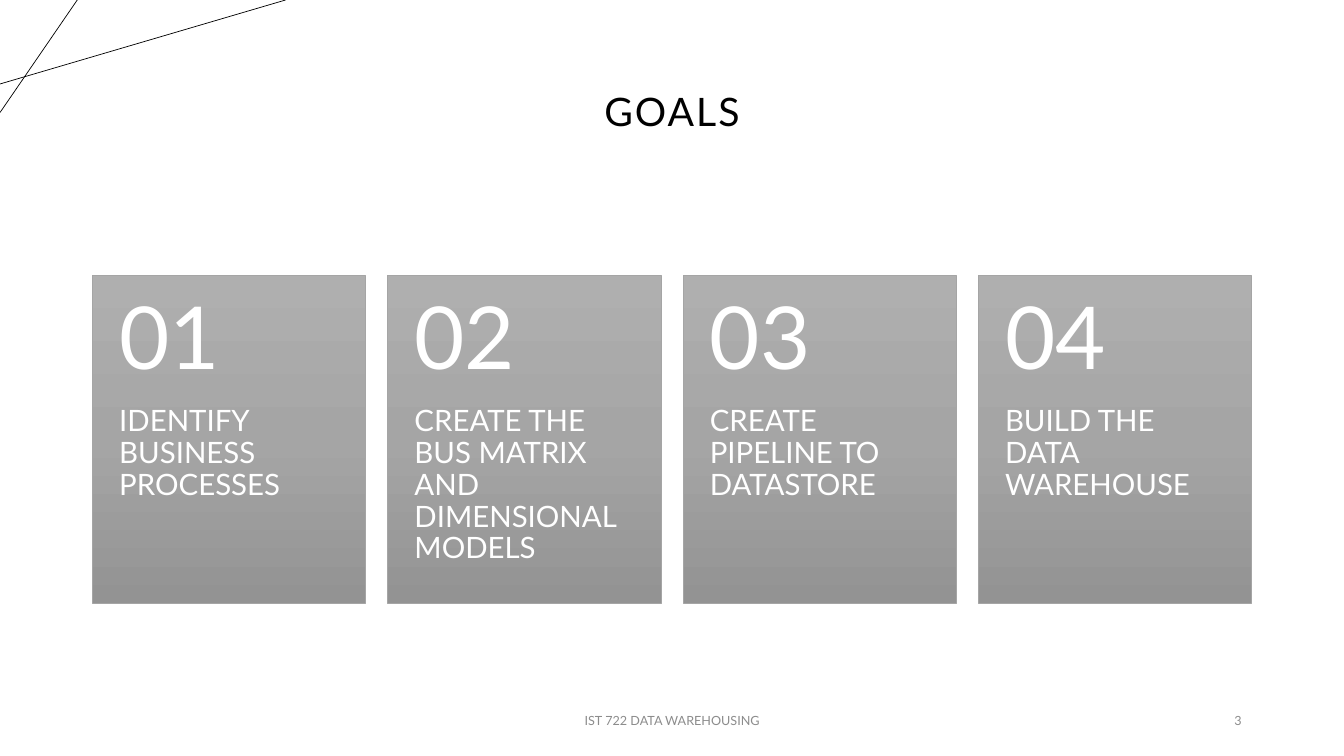
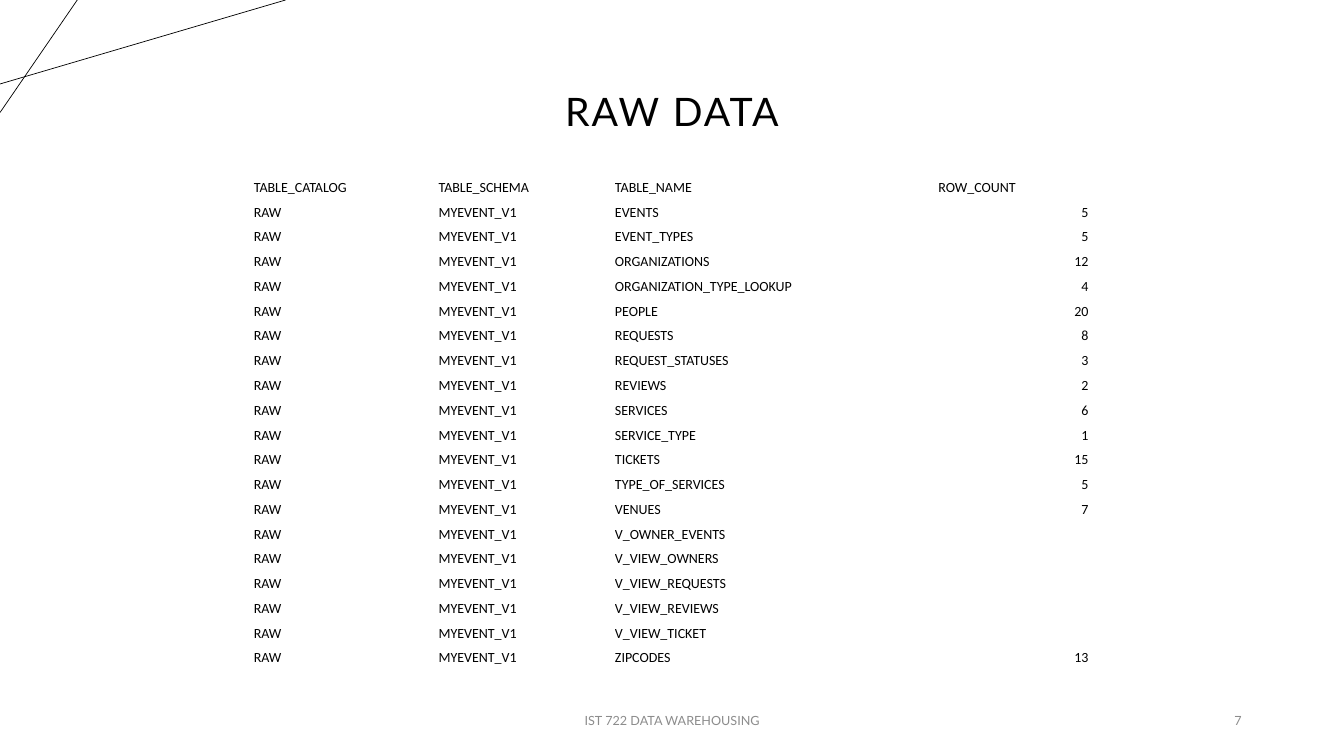
import copy
import dataclasses

import pptx
import pptx.dml.color
import pptx.enum.shapes
import pptx.enum.text
import pptx.oxml
import pptx.oxml.ns
import pptx.util

ALIGN = pptx.enum.text.PP_ALIGN
ANCHOR = pptx.enum.text.MSO_ANCHOR
COLUMNS, ROWS = 160, 90
MARGIN = 11
CONTENT_WIDTH = COLUMNS - 2 * MARGIN


@dataclasses.dataclass(frozen=True)
class Theme:
    font: str = "Lato"
    table_font: str = "Calibri"
    ink: str = "000000"
    muted: str = "8C8C8C"
    on_card: str = "FFFFFF"
    card_line: str = "A5A5A5"
    card_stops: tuple = ("AFAFAF", "A5A5A5", "939393")
    title_size: float = 28
    title_tracking: float = 1.5
    number_size: float = 62
    goal_size: float = 21
    table_size: float = 10
    footer_size: float = 9
    hairline: float = 0.5
    tight: float = 0.9


def rgb(value):
    return pptx.dml.color.RGBColor.from_string(value)


class Deck:
    """Holds the style and the current slide; lengths are units of a 160 x 90 grid."""

    def __init__(self, theme):
        self.theme = theme
        self.presentation = pptx.Presentation()
        self.presentation.slide_width = pptx.util.Inches(13.33)
        self.presentation.slide_height = pptx.util.Inches(7.5)
        self.slide = None

    def x(self, columns):
        return round(self.presentation.slide_width * columns / COLUMNS)

    def y(self, rows):
        return round(self.presentation.slide_height * rows / ROWS)

    def box(self, left, top, width, height):
        return self.x(left), self.y(top), self.x(width), self.y(height)

    def set_text(self, frame, text, size, color, font=None, align=ALIGN.LEFT, spacing=None):
        frame.text = text
        paragraph = frame.paragraphs[0]
        paragraph.alignment = align
        paragraph.line_spacing = spacing
        for run in paragraph.runs:
            run.font.size = pptx.util.Pt(size)
            run.font.name = font or self.theme.font
            run.font.color.rgb = rgb(color)

    def set_insets(self, target, left, top, right, bottom):
        target.margin_left, target.margin_right = self.x(left), self.x(right)
        target.margin_top, target.margin_bottom = self.y(top), self.y(bottom)

    def label(self, place, text, size, color, anchor=ANCHOR.MIDDLE, insets=None, **style):
        frame = self.slide.shapes.add_textbox(*self.box(*place)).text_frame
        frame.word_wrap = True
        frame.vertical_anchor = anchor
        if insets:
            self.set_insets(frame, *insets)
        self.set_text(frame, text, size, color, **style)

    def line(self, start, end):
        connector = self.slide.shapes.add_connector(
            pptx.enum.shapes.MSO_CONNECTOR.STRAIGHT,
            self.x(start[0]), self.y(start[1]), self.x(end[0]), self.y(end[1]))
        connector.line.color.rgb = rgb(self.theme.ink)
        connector.line.width = pptx.util.Pt(self.theme.hairline)
        properties = connector.element.spPr
        properties.append(properties.makeelement(pptx.oxml.ns.qn("a:effectLst"), {}))

    def title(self, text):
        theme = self.theme
        title = self.slide.shapes.title
        title.left, title.top, title.width, title.height = self.box(
            MARGIN, 4.8, CONTENT_WIDTH, 17.4)
        title.text_frame.vertical_anchor = ANCHOR.MIDDLE
        self.set_text(title.text_frame, text, theme.title_size, theme.ink,
                      align=ALIGN.CENTER, spacing=theme.tight)
        for run in title.text_frame.paragraphs[0].runs:
            run.font._element.set("spc", str(round(theme.title_tracking * 100)))

    def footer(self, text, align, left, width):
        self.label((left, 83.4, width, 4.8), text, self.theme.footer_size,
                   self.theme.muted, align=align)

    def new_slide(self, title, number):
        self.slide = self.presentation.slides.add_slide(self.presentation.slide_layouts[5])
        self.line((0, 10), (34, 0))
        self.line((9.2, 0), (0, 13.4))
        self.title(title)
        self.footer("IST 722 DATA WAREHOUSING", ALIGN.CENTER, 53, 54)
        self.footer(str(number), ALIGN.RIGHT, 113, 36)

    def panel(self, place):
        """Draw a rectangle that darkens from top to bottom."""
        theme = self.theme
        panel = self.slide.shapes.add_shape(
            pptx.enum.shapes.MSO_SHAPE.RECTANGLE, *self.box(*place))
        panel.shadow.inherit = False
        panel.line.color.rgb = rgb(theme.card_line)
        panel.line.width = pptx.util.Pt(theme.hairline)
        panel.fill.gradient()
        panel.fill.gradient_angle = 270
        stops = panel.element.spPr.find(".//" + pptx.oxml.ns.qn("a:gsLst"))
        stops.insert(1, copy.deepcopy(stops[0]))
        last = len(theme.card_stops) - 1
        for index, stop in enumerate(panel.fill.gradient_stops):
            stop.position = index / last
            stop.color.rgb = rgb(theme.card_stops[index])

    def goal_cards(self, goals, top=32.8, height=39, gap=2.6, number_height=15.6):
        theme = self.theme
        width = (CONTENT_WIDTH - gap * (len(goals) - 1)) / len(goals)
        for index, goal in enumerate(goals):
            left = MARGIN + index * (width + gap)
            self.panel((left, top, width, height))
            self.label((left, top + number_height, width, height - number_height),
                       goal, theme.goal_size, theme.on_card, anchor=ANCHOR.TOP,
                       insets=(3.2, 0, 3.2, 4.3), spacing=theme.tight)
            self.label((left, top, width, number_height), f"{index + 1:02d}",
                       theme.number_size, theme.on_card,
                       insets=(3.2, 2.15, 3.2, 2.15), spacing=theme.tight)

    def table(self, records, left, top, column_widths, row_height):
        """Draw a plain table; a None in the last column joins it to the one before."""
        theme = self.theme
        place = self.box(left, top, sum(column_widths), row_height * len(records))
        table = self.slide.shapes.add_table(
            len(records), len(column_widths), *place).table
        table.first_row = table.horz_banding = False
        for column, width in zip(table.columns, column_widths):
            column.width = self.x(width)
        for row_index, record in enumerate(records):
            table.rows[row_index].height = self.y(row_height)
            for column_index, value in enumerate(record):
                cell = table.cell(row_index, column_index)
                cell.fill.background()
                cell.vertical_anchor = ANCHOR.BOTTOM
                self.set_insets(cell, 0.12, 0.12, 0.12, 0)
                if value is None:
                    table.cell(row_index, column_index - 1).merge(cell)
                    continue
                align = ALIGN.RIGHT if isinstance(value, int) else ALIGN.LEFT
                self.set_text(cell.text_frame, str(value), theme.table_size, theme.ink,
                              font=theme.table_font, align=align)


GOALS = (
    "IDENTIFY BUSINESS PROCESSES",
    "CREATE THE BUS MATRIX AND DIMENSIONAL MODELS",
    "CREATE PIPELINE TO DATASTORE",
    "BUILD THE DATA WAREHOUSE",
)

ROW_COUNTS = {
    "EVENTS": 5,
    "EVENT_TYPES": 5,
    "ORGANIZATIONS": 12,
    "ORGANIZATION_TYPE_LOOKUP": 4,
    "PEOPLE": 20,
    "REQUESTS": 8,
    "REQUEST_STATUSES": 3,
    "REVIEWS": 2,
    "SERVICES": 6,
    "SERVICE_TYPE": 1,
    "TICKETS": 15,
    "TYPE_OF_SERVICES": 5,
    "VENUES": 7,
    "V_OWNER_EVENTS": None,
    "V_VIEW_OWNERS": None,
    "V_VIEW_REQUESTS": None,
    "V_VIEW_REVIEWS": None,
    "V_VIEW_TICKET": None,
    "ZIPCODES": 13,
}


def main():
    deck = Deck(Theme())

    deck.new_slide("GOALS", 3)
    deck.goal_cards(GOALS)

    deck.new_slide("RAW DATA", 7)
    header = ("TABLE_CATALOG", "TABLE_SCHEMA", "TABLE_NAME", "ROW_COUNT")
    records = [("RAW", "MYEVENT_V1", name, count) for name, count in ROW_COUNTS.items()]
    deck.table([header, *records], left=30.1, top=20.4,
               column_widths=(22, 21, 38.5, 18.1), row_height=2.95)

    deck.presentation.save("out.pptx")


if __name__ == "__main__":
    main()
